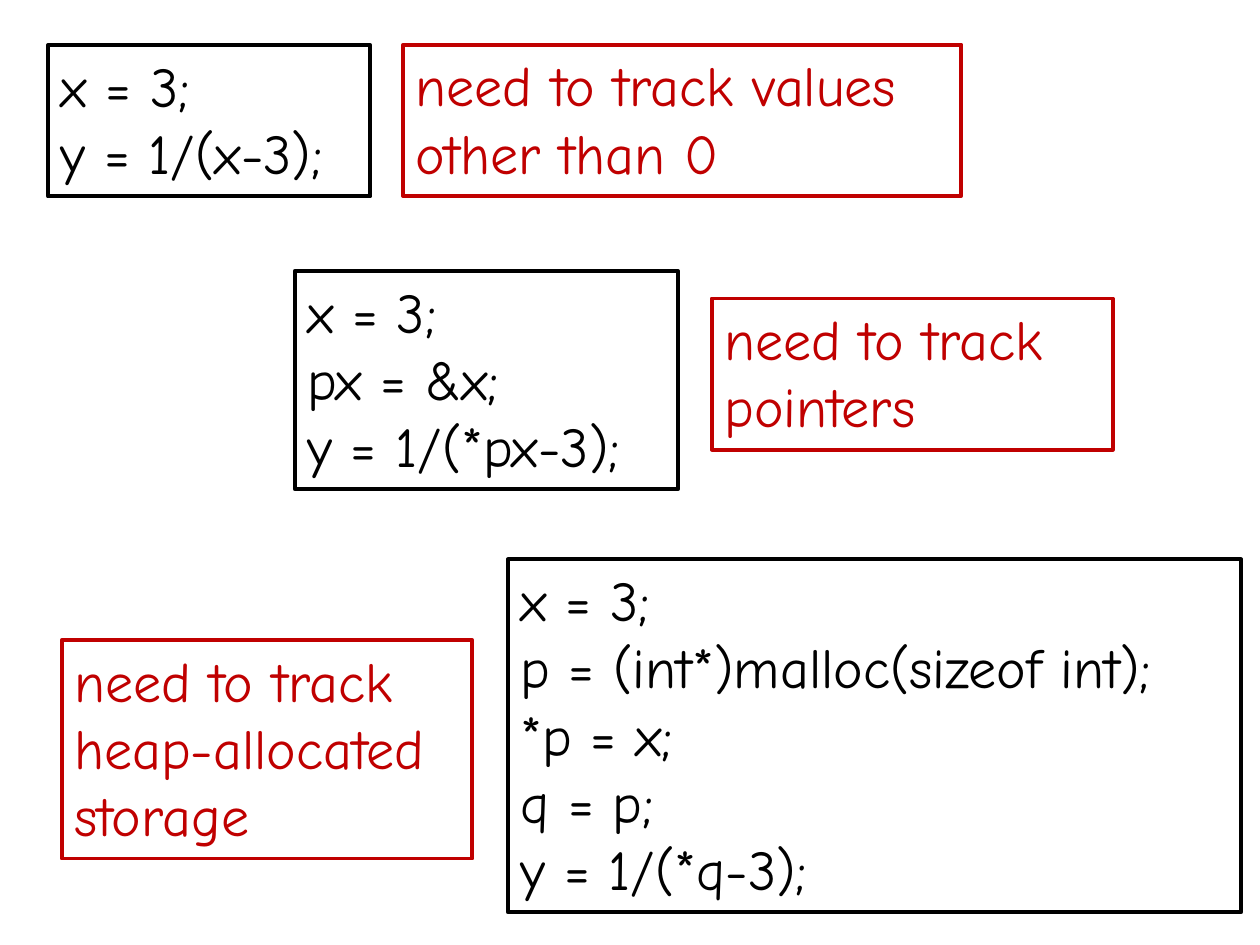
"""Build a slide of code examples and the analysis each one needs."""
from dataclasses import dataclass

from pptx import Presentation
from pptx.dml.color import RGBColor
from pptx.enum.text import MSO_ANCHOR, MSO_AUTO_SIZE, PP_ALIGN
from pptx.slide import Slide
from pptx.util import Pt

LEFT = PP_ALIGN.LEFT
TOP = MSO_ANCHOR.TOP
FIT_SHAPE = MSO_AUTO_SIZE.SHAPE_TO_FIT_TEXT


@dataclass(frozen=True)
class Theme:
    """Colours, type and box metrics."""

    code: RGBColor = RGBColor(0x00, 0x00, 0x00)
    need: RGBColor = RGBColor(0xC0, 0x00, 0x00)
    font: str = "Comic Neue"
    size: float = 32
    border: float = 2.25
    line_height: float = 38.4
    padding: float = 9.6


@dataclass(frozen=True)
class Box:
    """A bordered block of lines, placed in points."""

    left: float
    top: float
    width: float
    color: RGBColor
    lines: tuple[str, ...]


THEME = Theme()
BOXES = (
    Box(27.4, 25.9, 184.3, THEME.code, ("x = 3;", "y = 1/(x-3);")),
    Box(168.5, 154.8, 218.9, THEME.code,
        ("x = 3;", "px = &x;", "y = 1/(*px-3);")),
    Box(290.2, 319.7, 419, THEME.code,
        ("x = 3;", "p = (int*)malloc(sizeof int);", "*p = x;", "q = p;",
         "y = 1/(*q-3);")),
    Box(230.4, 25.6, 319, THEME.need,
        ("need to track values", "other than 0")),
    Box(406.8, 170.6, 229, THEME.need, ("need to track", "pointers")),
    Box(35.3, 365.8, 234.7, THEME.need,
        ("need to track", "heap-allocated", "storage")),
)


def add_line(p, text: str, *, color: RGBColor, size: float = THEME.size,
             font: str = THEME.font) -> None:
    """Write one formatted line into a paragraph."""
    p.alignment = LEFT
    r = p.add_run()
    r.text = text
    r.font.name = font
    r.font.size = Pt(size)
    r.font.color.rgb = color


def add_box(s: Slide, box: Box) -> None:
    """Draw a bordered text box whose height follows its line count."""
    height = len(box.lines) * THEME.line_height + THEME.padding
    sp = s.shapes.add_textbox(Pt(box.left), Pt(box.top), Pt(box.width), Pt(height))
    sp.line.color.rgb = box.color
    sp.line.width = Pt(THEME.border)
    tf = sp.text_frame
    tf.word_wrap = False
    tf.auto_size = FIT_SHAPE
    tf.vertical_anchor = TOP
    for i, text in enumerate(box.lines):
        p = tf.add_paragraph() if i else tf.paragraphs[0]
        add_line(p, text, color=box.color)


def main() -> None:
    """Build and save the slide."""
    prs = Presentation()
    prs.slide_width, prs.slide_height = Pt(720), Pt(540)
    s = prs.slides.add_slide(prs.slide_layouts[6])
    for box in BOXES:
        add_box(s, box)
    prs.save("out.pptx")


if __name__ == "__main__":
    main()
